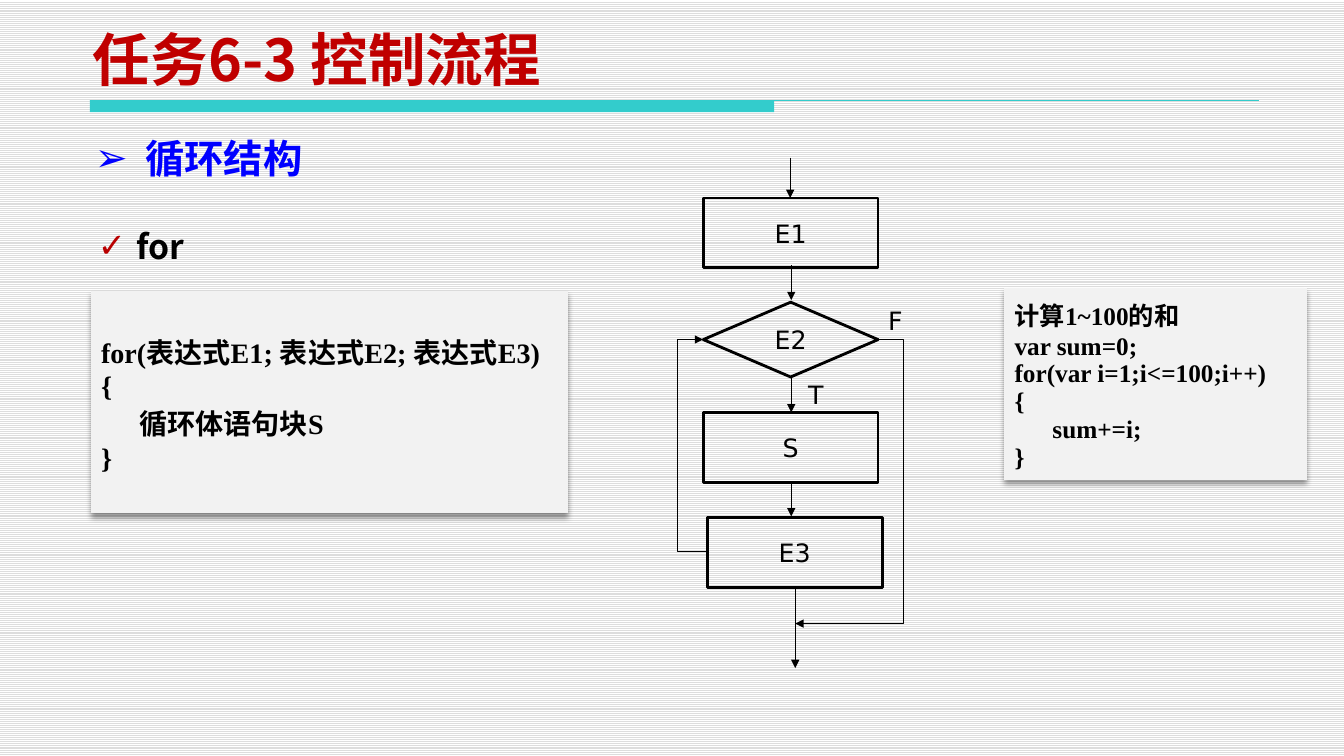
from collections import namedtuple
from dataclasses import dataclass

from lxml import etree
from pptx import Presentation
from pptx import util as u
from pptx.dml.color import RGBColor
from pptx.enum import dml, shapes, text
from pptx.oxml import parse_xml
from pptx.oxml.ns import nsdecls, qn

PX = u.Inches(1) // 100
PLAIN_TABLE = "{2D5ABB26-0587-4C30-8999-92F81FD0307C}"
Box = namedtuple("Box", "left top width height")


@dataclass(frozen=True)
class Theme:
    sans: str = "DejaVu Sans"
    serif: str = "Times New Roman"
    chinese: str = "Noto Sans CJK SC"
    black: str = "000000"
    white: str = "FFFFFF"
    stripe: str = "DDDDDD"
    accent: str = "33CCCC"
    title: str = "C00000"
    topic: str = "0000FF"
    check: str = "B90000"
    panel: str = "F2F2F2"
    title_size: int = 41
    topic_size: int = 28
    item_size: int = 24
    syntax_size: int = 20
    body_size: int = 18
    thin: float = 0.75
    thick: float = 2


THEME = Theme()


def color(value):
    return RGBColor.from_string(value)


def emu(*lengths):
    return [length * PX for length in lengths]


def write(frame, content, size, font, ink=THEME.black, bold=False, align=None,
          anchor=None, spacing=None, bullet=None, bullet_ink=None, indent=0):
    """Fill a text frame, one paragraph for each line of content."""
    if anchor is not None:
        frame.vertical_anchor = anchor
    for number, line in enumerate(content.split("\n")):
        para = frame.add_paragraph() if number else frame.paragraphs[0]
        para.alignment = align
        para.line_spacing = spacing
        if bullet:
            add_bullet(para, bullet, bullet_ink or ink, indent)
        span = para.add_run()
        span.text = line
        span.font.size = u.Pt(size)
        span.font.name = font
        span.font.bold = bold
        span.font.color.rgb = color(ink)
        east_asian = etree.SubElement(span._r.get_or_add_rPr(), qn("a:ea"))
        east_asian.set("typeface", THEME.chinese)


def add_bullet(para, mark, ink, indent):
    properties = para._p.get_or_add_pPr()
    properties.set("marL", str(indent * PX))
    properties.set("indent", str(-indent * PX))
    for tag in (
        f'<a:buClr {nsdecls("a")}><a:srgbClr val="{ink}"/></a:buClr>',
        f'<a:buFont {nsdecls("a")} typeface="{THEME.sans}"/>',
        f'<a:buChar {nsdecls("a")} char="{mark}"/>',
    ):
        properties.append(parse_xml(tag))


def add_text(page, box, content, wrap=True, **style):
    frame = page.shapes.add_textbox(*emu(*box)).text_frame
    frame.word_wrap = wrap
    frame.auto_size = text.MSO_AUTO_SIZE.SHAPE_TO_FIT_TEXT
    write(frame, content, **style)


def add_line(page, start, end, ink=THEME.black, arrow=True, lane=None):
    """Join two points; an elbow runs along the vertical at x = lane."""
    kind = shapes.MSO_CONNECTOR.STRAIGHT if lane is None else shapes.MSO_CONNECTOR.ELBOW
    line = page.shapes.add_connector(kind, *emu(*start, *end))
    line.line.color.rgb = color(ink)
    line.line.width = u.Pt(THEME.thin)
    properties = line._element.spPr
    etree.SubElement(properties, qn("a:effectLst"))
    if arrow:
        etree.SubElement(properties.find(qn("a:ln")), qn("a:tailEnd")).set("type", "triangle")
    if lane is not None:
        share = round(100000 * (lane - start[0]) / (end[0] - start[0]))
        geometry = properties.find(qn("a:prstGeom"))
        for old in list(geometry):
            geometry.remove(old)
        geometry.append(parse_xml(
            f'<a:avLst {nsdecls("a")}><a:gd name="adj1" fmla="val {share}"/></a:avLst>'))


def header(page, box):
    title = page.shapes.title
    title.left, title.top, title.width, title.height = emu(
        box.left - 7, box.top, 969, 69)
    title.text_frame.auto_size = text.MSO_AUTO_SIZE.NONE
    write(title.text_frame, "任务6-3 控制流程", size=THEME.title_size,
          font=THEME.chinese, ink=THEME.title, bold=True,
          align=text.PP_ALIGN.LEFT, anchor=text.MSO_ANCHOR.BOTTOM)
    rule = box.top + box.height - 12
    bar = page.shapes.add_shape(shapes.MSO_SHAPE.RECTANGLE, *emu(box.left, rule, 677, 12))
    bar.shadow.inherit = False
    bar.fill.solid()
    bar.fill.fore_color.rgb = color(THEME.accent)
    bar.line.fill.background()
    add_line(page, (box.left, rule), (box.left + box.width, rule),
             ink=THEME.accent, arrow=False)


def topics(page, box):
    add_text(page, Box(box.left, box.top, 850, 58), "循环结构",
             size=THEME.topic_size, font=THEME.sans, ink=THEME.topic, bold=True,
             align=text.PP_ALIGN.JUSTIFY, bullet="➢", indent=50)
    add_text(page, Box(box.left + 3, box.top + 70, 948, 131), "for",
             size=THEME.item_size, font=THEME.chinese, bold=True, spacing=1.5,
             bullet="✓", bullet_ink=THEME.check, indent=38)


def code_panel(page, box, code, size):
    """A one-cell table with a soft shadow."""
    table = page.shapes.add_table(1, 1, *emu(*box)).table
    table.first_row = table.horz_banding = False
    properties = table._tbl.tblPr
    properties.find(qn("a:tableStyleId")).text = PLAIN_TABLE
    properties.insert(0, parse_xml(
        f'<a:effectLst {nsdecls("a")}><a:outerShdw blurRad="50800" dist="38100" '
        'dir="5400000" algn="t" rotWithShape="0"><a:srgbClr val="000000">'
        '<a:alpha val="40000"/></a:srgbClr></a:outerShdw></a:effectLst>'))
    cell = table.cell(0, 0)
    cell.fill.solid()
    cell.fill.fore_color.rgb = color(THEME.panel)
    cell.vertical_anchor = text.MSO_ANCHOR.MIDDLE
    write(cell.text_frame, code, size=size, font=THEME.serif, bold=True)


def flowchart(page, box):
    def at(x, y):
        return box.left + x, box.top + y

    label = dict(size=THEME.body_size, font=THEME.sans)
    process, decision = shapes.MSO_SHAPE.FLOWCHART_PROCESS, shapes.MSO_SHAPE.DIAMOND
    for name, kind, x, y, height in (
        ("E1", process, 25, 40, 69),
        ("E2", decision, 25, 143, 74),
        ("S", process, 25, 252, 69),
        ("E3", process, 29, 356, 69),
    ):
        step = page.shapes.add_shape(kind, *emu(*at(x, y), 173, height))
        step.shadow.inherit = False
        step.fill.background()
        step.line.color.rgb = color(THEME.black)
        step.line.width = u.Pt(THEME.thick)
        write(step.text_frame, name, align=text.PP_ALIGN.CENTER,
              anchor=text.MSO_ANCHOR.MIDDLE, **label)
    for x, top, bottom in ((111, 0, 40), (112, 106, 141), (112, 217, 252),
                           (112, 320, 355), (116, 424, 505)):
        add_line(page, at(x, top), at(x, bottom))
    add_line(page, at(198, 180), at(116, 461), lane=box.left + box.width)
    add_line(page, at(29, 390), at(25, 180), lane=box.left)
    for name, x, y in (("T", 119, 214), ("F", 198, 141)):
        add_text(page, Box(*at(x, y), 36, 40), name, wrap=False, **label)


def loop_slide(deck):
    page = deck.slides.add_slide(deck.slide_layouts[5])
    backdrop = page.background.fill
    backdrop.patterned()
    backdrop.pattern = dml.MSO_PATTERN.LIGHT_HORIZONTAL
    backdrop.fore_color.rgb = color(THEME.stripe)
    backdrop.back_color.rgb = color(THEME.white)
    header(page, Box(89, 28, 1157, 83))
    topics(page, Box(84, 128, 951, 201))
    code_panel(page, Box(90, 288, 472, 220),
               "for(表达式E1; 表达式E2; 表达式E3)\n{\n      循环体语句块S\n}",
               THEME.syntax_size)
    code_panel(page, Box(994, 285, 299, 190),
               "计算1~100的和\nvar sum=0;\nfor(var i=1;i<=100;i++)\n{\n      sum+=i;\n}",
               THEME.body_size)
    flowchart(page, Box(671, 156, 223, 505))


def main():
    deck = Presentation()
    deck.slide_width, deck.slide_height = emu(1330, 748)
    loop_slide(deck)
    deck.save("out.pptx")


if __name__ == "__main__":
    main()
